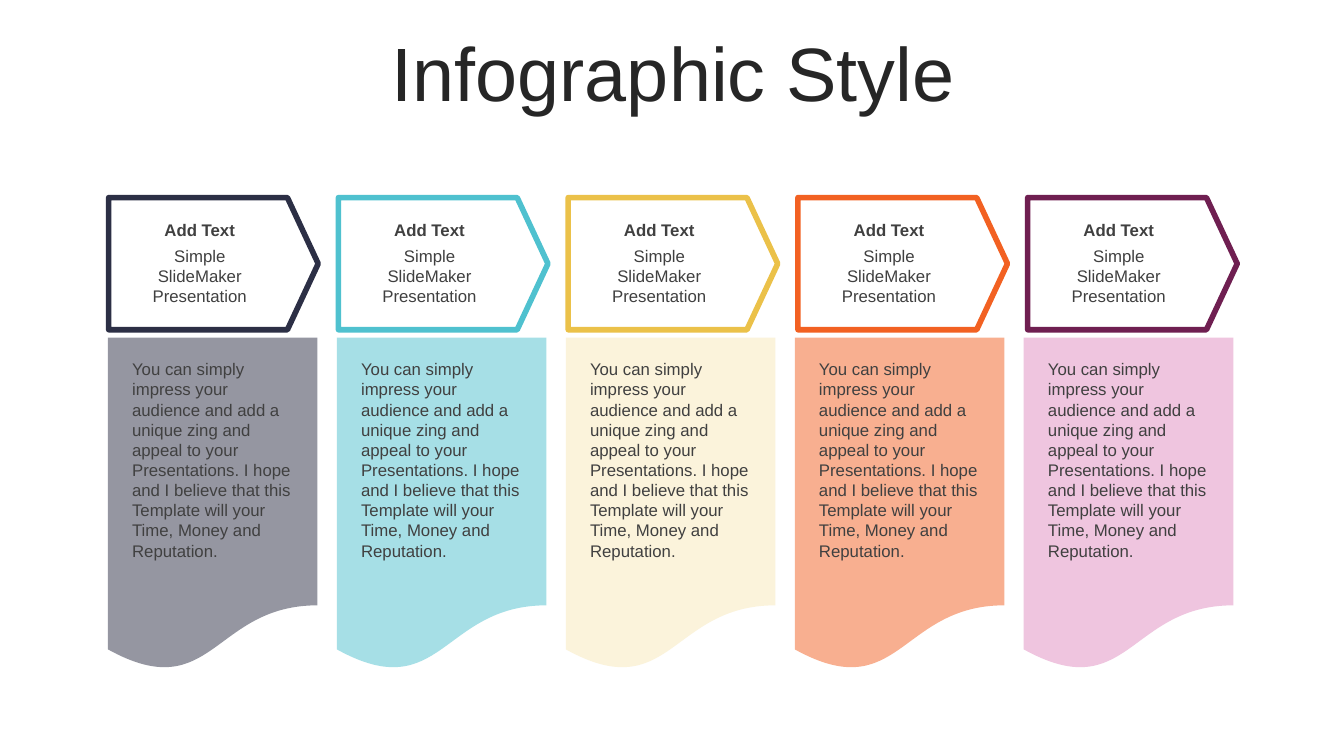
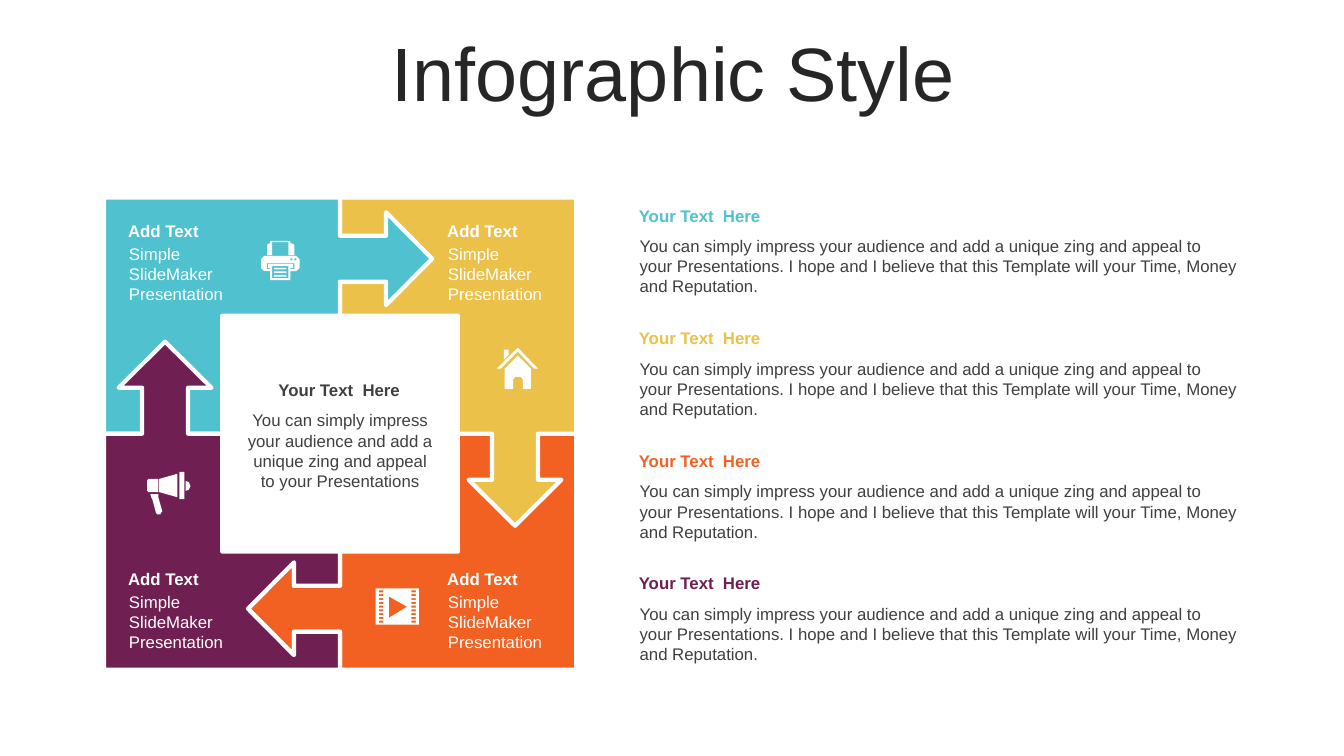
import pptx
import pptx.util
import pptx.dml.color
import pptx.enum.shapes
import pptx.enum.text
import pptx.oxml.ns
from lxml import etree

Cm, Pt = pptx.util.Cm, pptx.util.Pt
RGBColor = pptx.dml.color.RGBColor
Shape = pptx.enum.shapes.MSO_SHAPE
Align = pptx.enum.text.PP_ALIGN
Anchor = pptx.enum.text.MSO_ANCHOR

NAVY = RGBColor(0x2C, 0x2F, 0x45)
TEAL = RGBColor(0x4F, 0xC1, 0xCF)
GOLD = RGBColor(0xEB, 0xC1, 0x49)
ORANGE = RGBColor(0xF2, 0x61, 0x22)
PLUM = RGBColor(0x6F, 0x1F, 0x51)
CREAM = RGBColor(0xFB, 0xF3, 0xDB)
PINK = RGBColor(0xEF, 0xC5, 0xDF)
WHITE = RGBColor(0xFF, 0xFF, 0xFF)
GREY = RGBColor(0x40, 0x40, 0x40)
BLACK = RGBColor(0x26, 0x26, 0x26)

FONT = "Arial"
TITLE = "Infographic Style"
HEAD = "Add Text"
LABEL = "Simple SlideMaker Presentation"
LEAD = "Your Text  Here"
SHORT = "You can simply impress your audience and add a unique zing and appeal to your Presentations"
BLURB = SHORT + ". I hope and I believe that this Template will your Time, Money and Reputation."


def write(slide, words, x, y, w, h, color=GREY, bold=False, align=Align.LEFT, size=12):
    """Add a one-paragraph text box, placed in centimetres."""
    box = slide.shapes.add_textbox(Cm(x), Cm(y), Cm(w), Cm(h))
    box.text_frame.word_wrap = True
    para = box.text_frame.paragraphs[0]
    para.text = words
    para.alignment = align
    para.font.name = FONT
    para.font.size = Pt(size)
    para.font.bold = bold
    para.font.color.rgb = color
    return box


def outline(slide, x, y, rings, color):
    """Fill closed rings given in centimetres from x, y; two points span a rectangle."""
    pen = None
    for ring in rings:
        if len(ring) == 2:
            (x1, y1), (x2, y2) = ring
            ring = [(x1, y1), (x2, y1), (x2, y2), (x1, y2)]
        spots = [(Cm(x + dx), Cm(y + dy)) for dx, dy in ring]
        if pen is None:
            pen = slide.shapes.build_freeform(*spots[0])
        else:
            pen.move_to(*spots[0])
        pen.add_line_segments(spots[1:], close=True)
    form = pen.convert_to_shape()
    form.shadow.inherit = False
    form.fill.solid()
    form.fill.fore_color.rgb = color
    form.line.fill.background()
    return form


deck = pptx.Presentation()
deck.slide_width, deck.slide_height = Cm(33.87), Cm(19.05)
slides = []
for _ in range(2):
    slide = deck.slides.add_slide(deck.slide_layouts[6])
    title = write(slide, TITLE, 0.89, 0.94, 32.16, 2.01, BLACK, align=Align.CENTER, size=54)
    title.text_frame.vertical_anchor = Anchor.MIDDLE
    title.text_frame.paragraphs[0].line_spacing = 0.9
    slides.append(slide)
steps, cycle = slides

# Five steps: arrow heading above a wavy panel
columns = [(NAVY, NAVY, 50), (TEAL, TEAL, 50), (GOLD, CREAM, 100),
           (ORANGE, ORANGE, 50), (PLUM, PINK, 100)]
for i, (edge, tint, alpha) in enumerate(columns):
    left = 2.74 + 5.79 * i
    arrow = steps.shapes.add_shape(Shape.PENTAGON, Cm(left), Cm(4.98), Cm(5.28), Cm(3.33))
    arrow.adjustments[0] = 0.233
    arrow.shadow.inherit = False
    arrow.fill.background()
    arrow.line.color.rgb = edge
    arrow.line.width = Pt(4)
    write(steps, HEAD, left + 0.81, 5.41, 2.97, 0.76, bold=True, align=Align.CENTER)
    write(steps, LABEL, left + 0.81, 6.07, 2.97, 1.8, align=Align.CENTER)

    left = 2.72 + 5.77 * i
    panel = steps.shapes.add_shape(Shape.FLOWCHART_DOCUMENT, Cm(left), Cm(8.51), Cm(5.28), Cm(8.41))
    panel.shadow.inherit = False
    panel.fill.solid()
    panel.fill.fore_color.rgb = tint
    panel.line.fill.background()
    if alpha < 100:
        shade = panel.fill._xPr.find(".//" + pptx.oxml.ns.qn("a:srgbClr"))
        etree.SubElement(shade, pptx.oxml.ns.qn("a:alpha"), val=str(alpha * 1000))
    write(steps, BLURB, left + 0.36, 8.92, 4.6, 5.38)

# Cycle: one corner piece, turned clockwise by quarters about the centre
head = [(0, -4.99), (1.16, -4.99), (1.16, -5.58), (2.32, -4.41),
        (1.16, -3.24), (1.16, -3.83), (0, -3.83)]
piece = [(-5.95, -5.95), (0, -5.95)] + head + [(0, -2.97), (-2.97, -2.97), (-2.97, 0)]
notch = [(y, -x) for x, y in reversed(head)]
for color, turns in [(ORANGE, 2), (GOLD, 1), (TEAL, 0), (PLUM, 3)]:
    ring = piece + (notch if color == PLUM else []) + [(-5.95, 0)]
    for _ in range(turns):
        ring = [(-y, x) for x, y in ring]
    part = outline(cycle, 8.57, 10.93, [ring], color)
    part.line.color.rgb = WHITE
    part.line.width = Pt(3)

for left in (2.98, 11.02):
    for top in (5.44, 14.2):
        write(cycle, HEAD, left, top, 3.07, 0.76, WHITE, bold=True)
        write(cycle, LABEL, left + 0.02, top + 0.58, 3.07, 1.8, WHITE)

write(cycle, SHORT, 5.97, 10.21, 5.21, 2.31, align=Align.CENTER)
write(cycle, LEAD, 5.97, 9.45, 5.16, 0.76, bold=True, align=Align.CENTER)

for i, color in enumerate([TEAL, GOLD, ORANGE, PLUM]):
    top = 5.05 + 3.09 * i
    write(cycle, LEAD, 15.85, top, 15.62, 0.76, color, bold=True)
    write(cycle, BLURB.replace("to your", "to  your"), 15.87, top + 0.77, 15.6, 1.8)

# Icons
printer = [
    [(0.08, 0.38), (0.89, 0.38), (0.97, 0.46), (0.97, 0.69), (0.89, 0.76), (0.74, 0.76),
     (0.74, 0.99), (0.23, 0.99), (0.23, 0.76), (0.08, 0.76), (0, 0.69), (0, 0.46)],
    [(0.23, 0), (0.74, 0), (0.74, 0.05), (0.84, 0.1), (0.84, 0.36), (0.69, 0.36),
     (0.69, 0.03), (0.28, 0.03), (0.28, 0.36), (0.15, 0.36), (0.15, 0.1), (0.23, 0.05)],
    [(0.15, 0.56), (0.84, 0.56), (0.84, 0.71), (0.74, 0.71), (0.74, 0.69), (0.81, 0.69),
     (0.81, 0.58), (0.18, 0.58), (0.18, 0.69), (0.23, 0.69), (0.23, 0.71), (0.15, 0.71)],
    [(0.28, 0.64), (0.69, 0.94)],
]
printer += [[(0.33, y), (0.64, y + 0.04)] for y in (0.68, 0.77, 0.86)]
printer += [[(x, 0.44), (x + 0.05, 0.49)] for x in (0.74, 0.84)]

house = [
    [(0.53, 0.2), (0.86, 0.53), (0.86, 1.04), (0.66, 1.04), (0.66, 0.81), (0.61, 0.74),
     (0.46, 0.74), (0.41, 0.81), (0.41, 1.04), (0.2, 1.04), (0.2, 0.53)],
    [(0.18, 0.05), (0.3, 0.05), (0.3, 0.18), (0.18, 0.3)],
    [(0.53, 0), (1.04, 0.53), (0.94, 0.53), (0.53, 0.1), (0.1, 0.53), (0, 0.53)],
]

horn = [
    [(0.08, 0.56), (0.28, 0.56), (0.28, 0.64), (0.38, 0.99), (0.33, 1.07), (0.25, 1.07),
     (0.22, 1.03), (0.13, 0.69), (0.1, 0.64)],
    [(0.97, 0.23), (1.05, 0.26), (1.09, 0.36), (1.05, 0.45), (0.97, 0.48)],
    [(0.03, 0.18), (0.28, 0.18), (0.28, 0.51), (0.03, 0.51), (0, 0.48), (0, 0.21)],
    [(0.76, 0.05), (0.76, 0.64), (0.3, 0.51), (0.3, 0.18)],
    [(0.81, 0), (0.94, 0.69)],
]

film = [[(0, 0), (1.09, 0.91)], [(0.33, 0.2), (0.33, 0.74), (0.79, 0.46)]]
for row in range(9):
    y = 0.05 + 0.095 * row
    film += [[(x, y), (x + 0.11, y + 0.05)] for x in (0.08, 0.9)]

for x, y, rings in [(6.58, 6.07, printer), (12.52, 8.76, house),
                    (3.71, 11.89, horn), (9.47, 14.83, film)]:
    outline(cycle, x, y, rings, WHITE)

deck.save("out.pptx")
